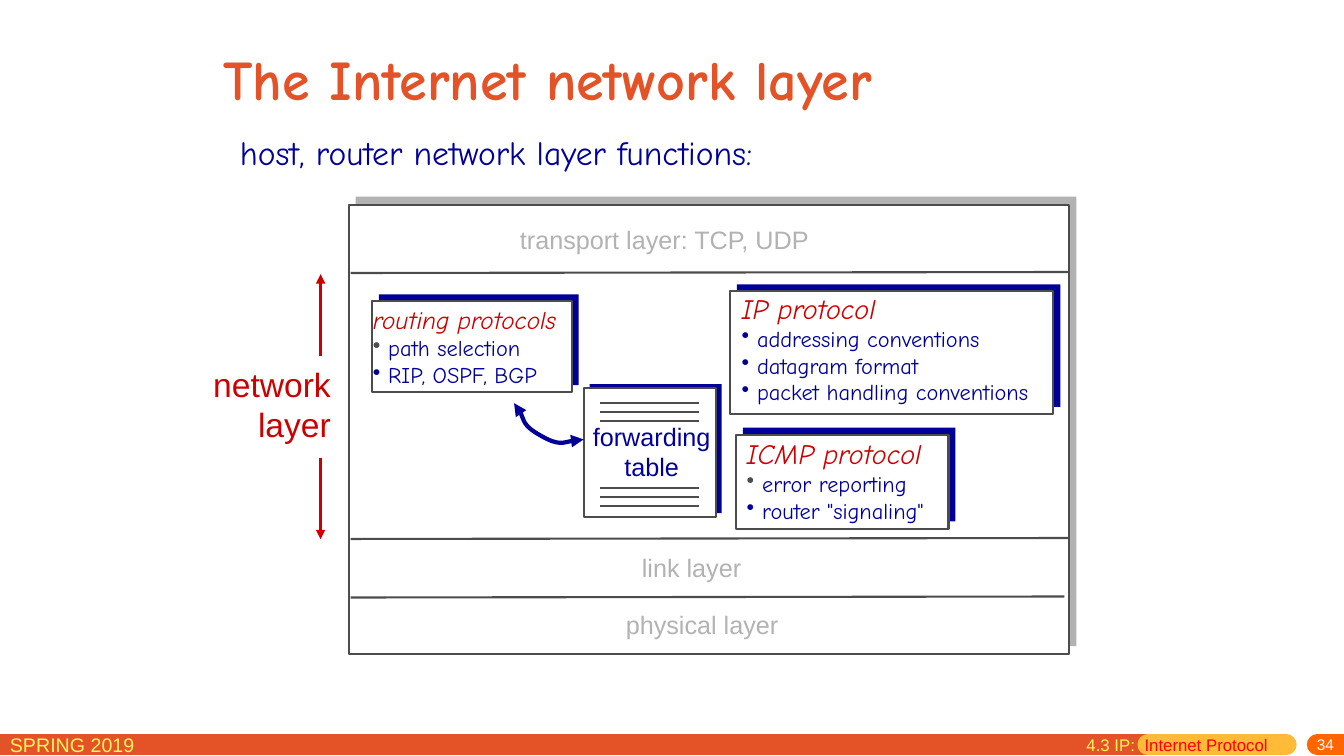
"""Builds the slide on the Internet network layer and its functions."""
from dataclasses import dataclass

from pptx import Presentation
from pptx.dml.color import RGBColor
from pptx.enum.shapes import MSO_CONNECTOR, MSO_SHAPE
from pptx.enum.text import MSO_ANCHOR, MSO_AUTO_SIZE, PP_ALIGN as ALIGN
from pptx.oxml.ns import qn
from pptx.util import Pt
from lxml.etree import SubElement


@dataclass(frozen=True)
class Theme:
    orange: str = "E45327"
    amber: str = "FFBA37"
    page_orange: str = "FF6600"
    yellow: str = "FFF65C"
    bright_red: str = "FF0000"
    red: str = "CC0000"
    navy: str = "000099"
    grey: str = "4C4C4C"
    pale: str = "B2B2B2"
    white: str = "FFFFFF"
    sans: str = "Arial"
    hand: str = "Comic Neue"
    title: int = 40
    large: int = 24
    heading: int = 20
    label: int = 18
    bullet: int = 16
    season: int = 14
    section: int = 12
    page: int = 11


theme = Theme()


def write(paragraph, text, colour, size, name=theme.sans, **extra):
    run = paragraph.add_run()
    run.text = text
    run.font.color.rgb = RGBColor.from_string(colour)
    for key, value in {"name": name, "size": Pt(size), **extra}.items():
        setattr(run.font, key, value)


def draw_line(x1, y1, x2, y2, colour, width=1.5, cap="flat", arrow=False):
    line = slide.shapes.add_connector(
        MSO_CONNECTOR.STRAIGHT, Pt(x1), Pt(y1), Pt(x2), Pt(y2))
    line.line.color.rgb = RGBColor.from_string(colour)
    line.line.width = Pt(width)
    outline = line.element.spPr.find(qn("a:ln"))
    outline.set("cap", cap)
    if arrow:
        SubElement(outline, qn("a:tailEnd"), type="triangle")
    SubElement(line.element.spPr, qn("a:effectLst"))


deck = Presentation()
deck.slide_width, deck.slide_height = Pt(960), Pt(540)
slide = deck.slides.add_slide(deck.slide_layouts[1])

for start, end, colour in (
    (0, 820, theme.orange),
    (820, 918.7, theme.amber),
    (941, 960, theme.page_orange),
):
    draw_line(start, 532, end, 532, colour, 15,
              "flat" if start == 0 else "rnd")

heading, intro = slide.placeholders
for holder, box, anchor, text, colour, size, bold in (
    (heading, (152.6, 10.8, 612, 90), MSO_ANCHOR.MIDDLE,
     "The Internet network layer", theme.orange, theme.title, True),
    (intro, (164.2, 93.6, 593.3, 34.6), MSO_ANCHOR.TOP,
     "host, router network layer functions:", theme.navy, theme.large, False),
):
    holder.left, holder.top, holder.width, holder.height = map(Pt, box)
    frame = holder.text_frame
    frame.auto_size = MSO_AUTO_SIZE.NONE
    frame.vertical_anchor = anchor
    line = frame.paragraphs[0]
    line.alignment = ALIGN.LEFT
    line.space_before = Pt(0)
    if holder is intro:
        line.line_spacing = 0.9
        props = line._p.get_or_add_pPr()
        props.set("marL", "0")
        props.set("indent", "0")
        SubElement(props, qn("a:buNone"))
    write(line, text, colour, size, theme.hand, bold=bold)

for left, top, width, height, dx, dy, shade in (
    (249.1, 146.2, 514.8, 321.1, 5, -5.8, theme.pale),
    (416.9, 277.2, 94.3, 92.2, 4.3, -2.9, theme.navy),
    (265.7, 215.3, 142.6, 64.8, 5, -5, theme.navy),
    (521.3, 208.1, 231.1, 87.5, 5, -5, theme.navy),
    (525.6, 311, 151.9, 67, 5, -5.5, theme.navy),
):
    for x, y, fill in ((left + dx, top + dy, shade), (left, top, theme.white)):
        panel = slide.shapes.add_shape(
            MSO_SHAPE.RECTANGLE, Pt(x), Pt(y), Pt(width), Pt(height))
        panel.shadow.inherit = False
        panel.fill.solid()
        panel.fill.fore_color.rgb = RGBColor.from_string(fill)
        panel.line.fill.background()
    panel.line.color.rgb = RGBColor.from_string(theme.grey)
    panel.line.width = Pt(1.5)

for top, right in ((195, 763.9), (385, 763.9), (426.8, 760.3)):
    draw_line(250.5, top, right, top - 0.7, theme.grey)
for first in (288, 348.5):
    for step in range(3):
        top = first + 6.5 * step
        draw_line(428.8, top, 499.3, top, theme.grey)
for start, end in ((254.2, 195.8), (326.9, 385.2)):
    draw_line(229, start, 229, end, theme.red, 2.25, arrow=True)

bend = [(371.5, 290.2), (373, 303.8), (385.9, 311),
        (399.6, 319), (410.4, 313.9), (416.9, 313.9)]
builder = slide.shapes.build_freeform(Pt(367.2), Pt(288))
builder.add_line_segments([(Pt(x), Pt(y)) for x, y in bend], close=False)
exchange = builder.convert_to_shape()
exchange.shadow.inherit = False
exchange.fill.background()
exchange.line.color.rgb = RGBColor.from_string(theme.navy)
exchange.line.width = Pt(3)
for end in ("a:headEnd", "a:tailEnd"):
    SubElement(exchange.element.spPr.find(qn("a:ln")), qn(end), type="triangle")
segments = list(exchange.element.iter(qn("a:lnTo")))
outline = segments[0].getparent()
for index, segment in enumerate(segments):
    if index % 3 == 0:
        curve = SubElement(outline, qn("a:cubicBezTo"))
    curve.append(segment[0])
    outline.remove(segment)

for box, lines, colour, size, align in (
    ((416.2, 297.4, 98.6, 50.4), ("forwarding", "table"),
     theme.navy, theme.label, ALIGN.CENTER),
    ((364.3, 157, 223.2, 28.8), ("transport layer: TCP, UDP",),
     theme.pale, theme.label, ALIGN.LEFT),
    ((451.4, 391, 85.7, 28.8), ("link layer",),
     theme.pale, theme.label, ALIGN.LEFT),
    ((439.9, 432, 123.8, 28.8), ("physical layer",),
     theme.pale, theme.label, ALIGN.LEFT),
    ((144, 256.3, 99.4, 65.5), ("network", "layer"),
     theme.red, theme.large, ALIGN.RIGHT),
    ((0, 519.8, 164.9, 22.3), ("SPRING 2019",),
     theme.yellow, theme.season, ALIGN.LEFT),
    ((920, 521.6, 40, 22.3), ("34",), theme.white, theme.page, ALIGN.RIGHT),
):
    frame = slide.shapes.add_textbox(*map(Pt, box)).text_frame
    frame.word_wrap = False
    for index, text in enumerate(lines):
        line = frame.add_paragraph() if index else frame.paragraphs[0]
        line.alignment = align
        write(line, text, colour, size)

for box, protocol, size, dot, points in (
    ((259.2, 213.8, 164.9, 67.7), "routing protocols", theme.label, theme.grey,
     ("path selection", "RIP, OSPF, BGP")),
    ((522.7, 204.5, 234.7, 89.3), "IP protocol", theme.heading, theme.navy,
     ("addressing conventions", "datagram format",
      "packet handling conventions")),
    ((526.3, 308.2, 149.8, 70), "ICMP protocol", theme.heading, theme.grey,
     ("error reporting", 'router "signaling"')),
):
    frame = slide.shapes.add_textbox(*map(Pt, box)).text_frame
    frame.word_wrap = True
    write(frame.paragraphs[0], protocol, theme.red, size, theme.hand, italic=True)
    for index, point in enumerate(points):
        line = frame.add_paragraph()
        props = line._p.get_or_add_pPr()
        props.set("marL", str(Pt(11)))
        props.set("indent", str(-Pt(11)))
        tint = SubElement(props, qn("a:buClr"))
        SubElement(tint, qn("a:srgbClr"), val=theme.navy if index else dot)
        SubElement(props, qn("a:buChar"), char="•")
        write(line, point, theme.navy, theme.bullet, theme.hand)

frame = slide.shapes.add_textbox(Pt(769), Pt(521.3), Pt(158.4), Pt(22.3)).text_frame
frame.word_wrap = True
section = frame.paragraphs[0]
stops = SubElement(section._p.get_or_add_pPr(), qn("a:tabLst"))
SubElement(stops, qn("a:tab"), pos=str(Pt(41.5)), algn="l")
write(section, "4.3 IP:\t", theme.yellow, theme.section)
write(section, "Internet Protocol", theme.bright_red, theme.section)

deck.save("out.pptx")
